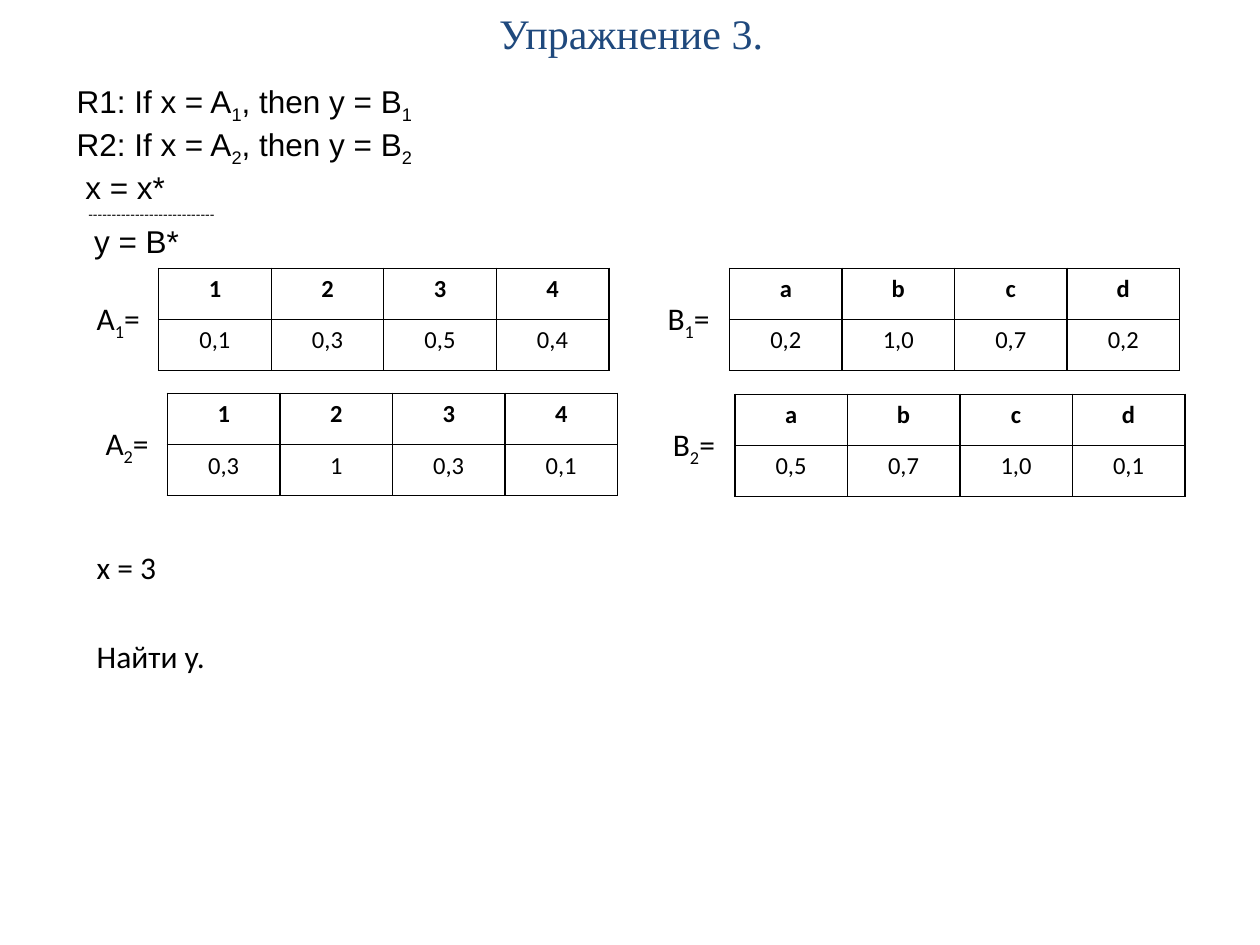
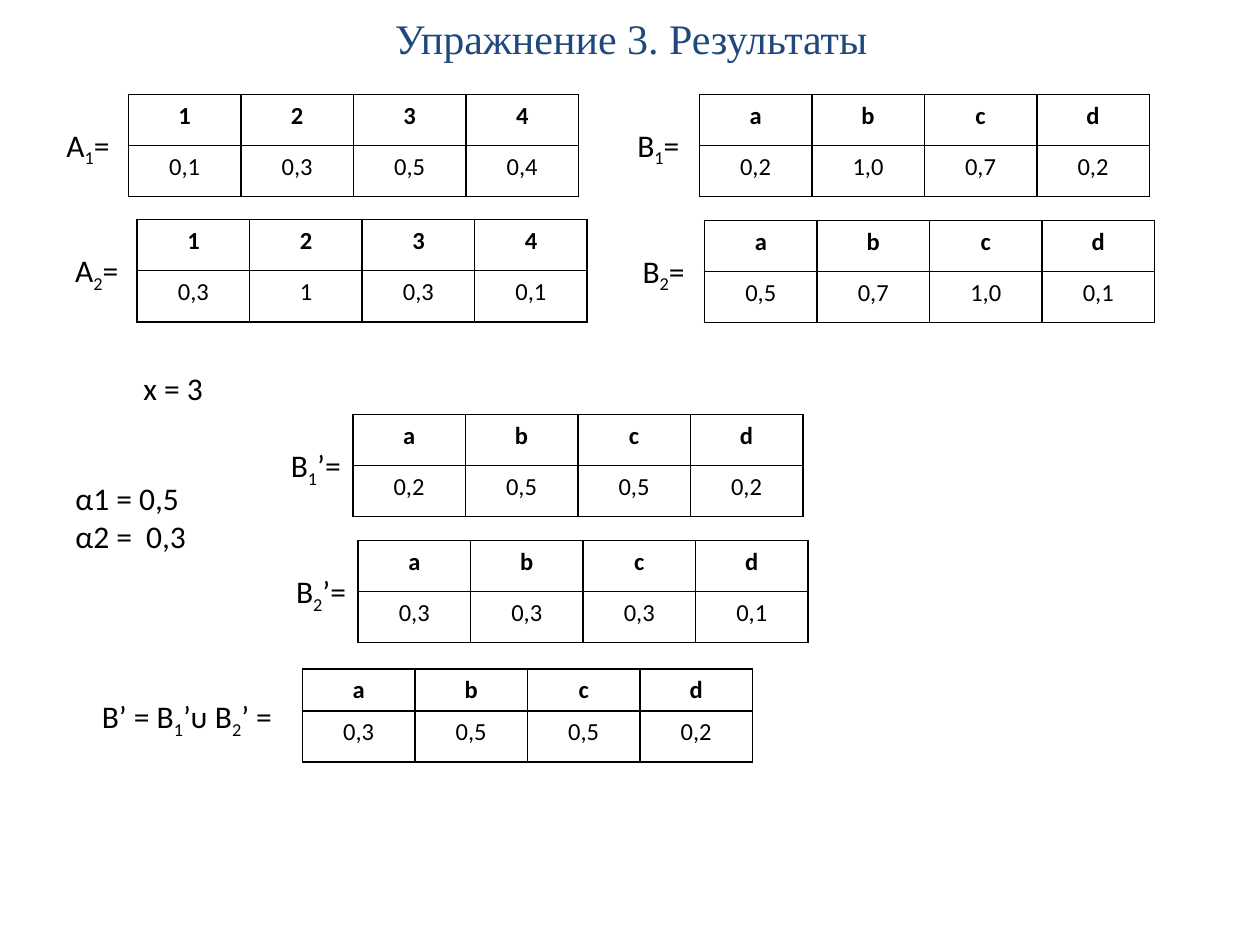
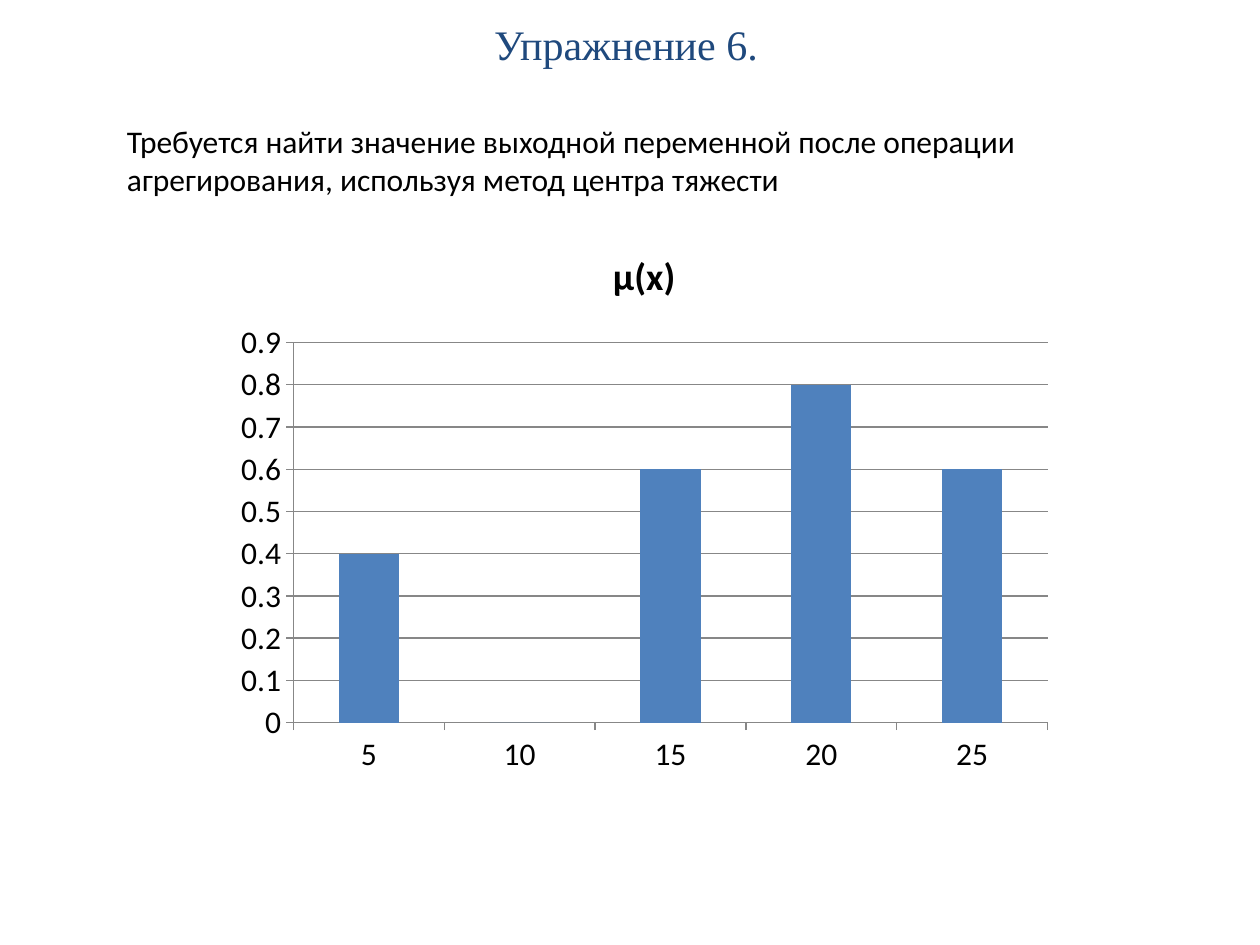
from lxml import etree
from pptx import Presentation
from pptx import util as u
from pptx.chart import data
from pptx.dml import color
from pptx.enum import chart as ch
from pptx.enum import text
from pptx.oxml import ns

NUMBERS, LETTERS = "1234", "abcd"


def rgb(code):
    """Turn a hex string into a colour."""
    return color.RGBColor.from_string(code)


class Deck:
    """Hold the shared style and the current slide."""

    BLACK, WHITE, NAVY = "000000", "FFFFFF", "1F497D"
    BLUE, GRAY = "4F81BD", "878787"
    TITLE_FONT, RULE_FONT, BODY_FONT = "Times New Roman", "Arial", "Calibri"
    BODY_SIZE, CELL_SIZE = 18, 14
    COLUMN, ROW = 64.3, 29.2

    def __init__(self):
        """Start an empty 10 by 7.5 inch presentation."""
        self.deck = Presentation()
        self.deck.slide_width, self.deck.slide_height = u.Pt(720), u.Pt(540)

    def style(self, paragraph, font, size, code=BLACK, bold=False):
        """Set the font of a whole paragraph."""
        face = paragraph.font
        face.name, face.size, face.bold = font, u.Pt(size), bold
        face.color.rgb = rgb(code)

    def page(self, title, height):
        """Add a slide with its title."""
        self.slide = self.deck.slides.add_slide(self.deck.slide_layouts[6])
        box = self.slide.shapes.add_textbox(u.Pt(36.7), 0, u.Pt(648), u.Pt(height))
        frame = box.text_frame
        frame.word_wrap = True
        frame.vertical_anchor = text.MSO_ANCHOR.MIDDLE
        heading = frame.paragraphs[0]
        heading.text = title
        heading.alignment = text.PP_ALIGN.CENTER
        self.style(heading, self.TITLE_FONT, 24, self.NAVY)

    def words(self, left, top, width, lines, height=29, font=BODY_FONT, wrap=True):
        """Add lines of (words, size, indent); bars enclose subscripts."""
        box = self.slide.shapes.add_textbox(*map(u.Pt, (left, top, width, height)))
        frame = box.text_frame
        frame.word_wrap = wrap
        frame.auto_size = text.MSO_AUTO_SIZE.SHAPE_TO_FIT_TEXT
        for index, (line, size, indent) in enumerate(lines):
            paragraph = frame.add_paragraph() if index else frame.paragraphs[0]
            self.style(paragraph, font, size)
            if indent:
                paragraph._p.get_or_add_pPr().set("marL", str(u.Pt(indent)))
            for place, piece in enumerate(line.split("|")):
                run = paragraph.add_run()
                run.text = piece
                if place % 2:
                    run.font._element.set("baseline", "-25000")

    def body(self, left, top, width, *lines, **options):
        """Add lines in the body size."""
        self.words(left, top, width, [(line, self.BODY_SIZE, 0) for line in lines], **options)

    def border(self, cell):
        """Draw a thin black line on each side of a cell."""
        properties = cell._tc.get_or_add_tcPr()
        for place, side in enumerate(("lnL", "lnR", "lnT", "lnB")):
            line = etree.Element(ns.qn(f"a:{side}"), w=str(u.Pt(1)))
            fill = etree.SubElement(line, ns.qn("a:solidFill"))
            etree.SubElement(fill, ns.qn("a:srgbClr"), val=self.BLACK)
            properties.insert(place, line)

    def grades(self, left, top, heads, values, head_height=ROW):
        """Add a table of elements and their membership grades."""
        heights = head_height, self.ROW
        table = self.slide.shapes.add_table(
            2, len(heads), u.Pt(left), u.Pt(top),
            u.Pt(self.COLUMN * len(heads)), u.Pt(sum(heights))).table
        table.first_row = table.horz_banding = False
        for column in table.columns:
            column.width = u.Pt(self.COLUMN)
        for r, entries in enumerate((heads, values.split())):
            table.rows[r].height = u.Pt(heights[r])
            for c, entry in enumerate(entries):
                cell = table.cell(r, c)
                cell.fill.solid()
                cell.fill.fore_color.rgb = rgb(self.WHITE)
                self.border(cell)
                paragraph = cell.text_frame.paragraphs[0]
                paragraph.text = entry
                paragraph.alignment = text.PP_ALIGN.CENTER
                self.style(paragraph, self.BODY_FONT, self.CELL_SIZE, bold=r == 0)

    def fuzzy_pair(self, left, top, step, label, label_width, heads, *sets):
        """Add two numbered fuzzy sets, the second one step further."""
        for index, values in enumerate(sets):
            x, y = left + index * step[0], top + index * step[1]
            self.body(x - 42.5, y + 14.2, label_width,
                      label.format(index + 1), wrap=False)
            self.grades(x, y, heads, values)

    def premises(self, left, top):
        """Add the given sets A and B."""
        self.fuzzy_pair(left, top, (5, 71.5), "А|{}|=", 40, NUMBERS,
                        "0,1 0,3 0,5 0,4", "0,3 1 0,3 0,1")
        self.fuzzy_pair(left + 326.2, top, (3, 72), "B|{}|=", 40, LETTERS,
                        "0,2 1,0 0,7 0,2", "0,5 0,7 1,0 0,1")

    def columns(self, left, top, width, height, title, points):
        """Add a column chart of membership grades."""
        source = data.CategoryChartData()
        source.categories = list(points)
        source.add_series("Series 1", points.values())
        chart = self.slide.shapes.add_chart(
            ch.XL_CHART_TYPE.COLUMN_CLUSTERED,
            *map(u.Pt, (left, top, width, height)), source).chart
        chart.has_legend = False
        chart.font.name, chart.font.size = self.BODY_FONT, u.Pt(self.BODY_SIZE)
        chart.font.color.rgb = rgb(self.BLACK)
        heading = chart.chart_title.text_frame.paragraphs[0]
        heading.text = title
        self.style(heading, self.BODY_FONT, 21.6, bold=True)
        plot = chart.plots[0]
        plot.gap_width, plot.vary_by_categories = 150, False
        bars = plot.series[0].format.fill
        bars.solid()
        bars.fore_color.rgb = rgb(self.BLUE)
        scale = chart.value_axis
        scale.minimum_scale, scale.maximum_scale, scale.major_unit = 0, 0.9, 0.1
        scale.has_major_gridlines = True
        for axis in (chart.category_axis, scale):
            axis.major_tick_mark = ch.XL_TICK_MARK.OUTSIDE
        for lined in (chart.category_axis, scale, scale.major_gridlines):
            lined.format.line.color.rgb = rgb(self.GRAY)
            lined.format.line.width = u.Pt(0.75)


def main():
    """Build the three slides."""
    deck = Deck()

    deck.page("Упражнение 3.", 37.4)
    deck.words(36.7, 43.2, 360, [
        ("R1: If x = A|1|, then y = B|1", 18, 0),
        ("R2: If x = A|2|, then y = B|2", 18, 0),
        ("x = x*", 18, 5),
        ("-" * 27, 8, 6.7),
        ("y = B*", 18, 10),
    ], height=104.4, font=deck.RULE_FONT)
    deck.premises(90.7, 153.3)
    deck.body(48.2, 309.6, 158.4, "x = 3")
    deck.body(48.2, 360.7, 153.4, "Найти y.")

    deck.page("Упражнение 3. Результаты", 43.2)
    deck.premises(73.4, 54)
    deck.body(74.9, 207.4, 49, "x = 3", wrap=False)
    deck.body(36, 270, 210.2, "α1 = 0,5", "α2 =  0,3", height=51)
    deck.fuzzy_pair(201.6, 236.9, (3, 72), "B|{}|’=", 44, LETTERS,
                    "0,2 0,5 0,5 0,2", "0,3 0,3 0,3 0,1")
    deck.body(51.1, 394.6, 154.8, "B’ = B|1|’ᴜ B|2|’ =")
    deck.grades(172.8, 382.3, LETTERS, "0,3 0,5 0,5 0,2", head_height=24)

    deck.page("Упражнение 6. ", 49.7)
    deck.columns(128.2, 128.2, 480, 320, "μ(х)",
                 {"5": 0.4, "10": 0, "15": 0.6, "20": 0.8, "25": 0.6})
    deck.body(65.5, 66.2, 607, "Требуется найти значение выходной переменной после "
              "операции агрегирования, используя метод центра тяжести", height=51)

    deck.deck.save("out.pptx")


if __name__ == "__main__":
    main()
